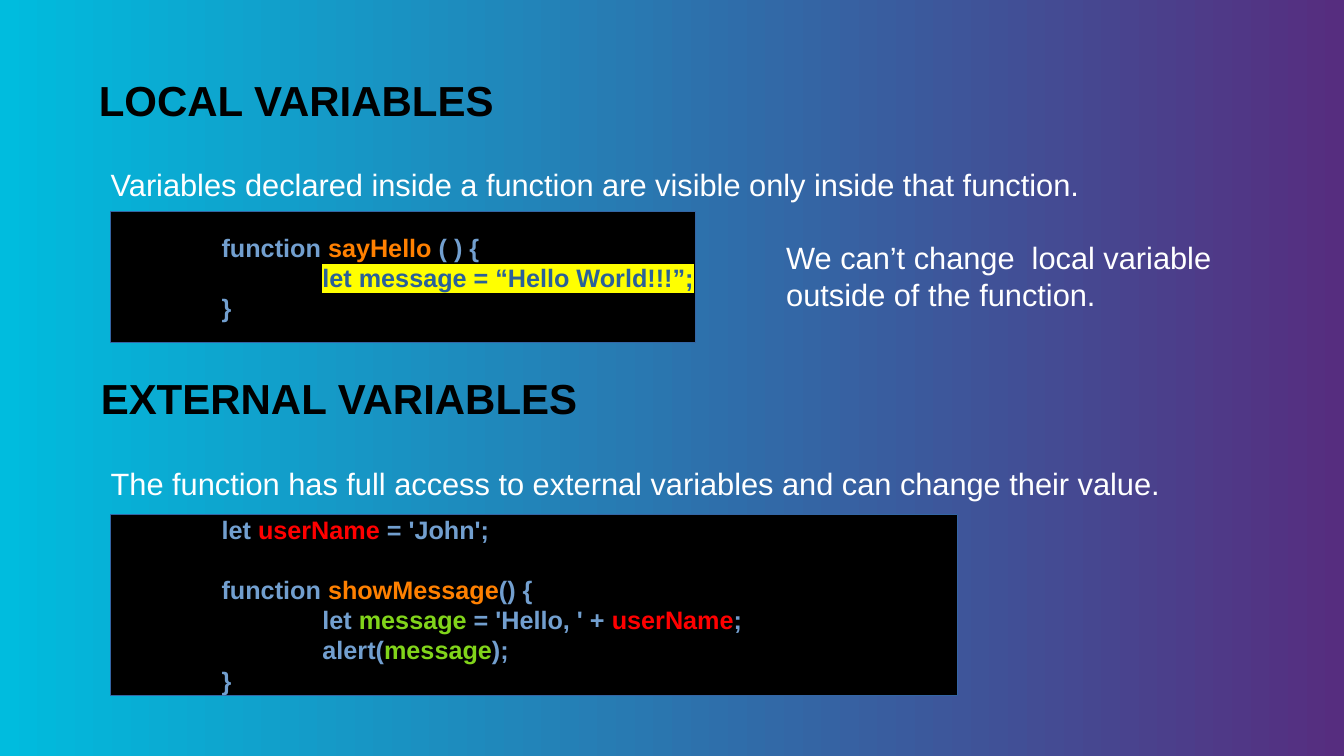
from lxml.etree import SubElement
from pptx import Presentation
from pptx.dml.color import RGBColor
from pptx.enum.shapes import MSO_SHAPE
from pptx.enum.text import MSO_ANCHOR, PP_ALIGN
from pptx.oxml.ns import qn
from pptx.util import Inches, Pt

BLACK = RGBColor(0x00, 0x00, 0x00)
WHITE = RGBColor(0xFF, 0xFF, 0xFF)
PURPLE = RGBColor(0x56, 0x2D, 0x7F)
CYAN = RGBColor(0x00, 0xBC, 0xDE)
BORDER = RGBColor(0x34, 0x65, 0xA4)
CODE = RGBColor(0x72, 0x9F, 0xCF)
DARK_CODE = RGBColor(0x2A, 0x60, 0x99)
FUNCTION = RGBColor(0xFF, 0x80, 0x00)
EXTERNAL = RGBColor(0xFF, 0x00, 0x00)
LOCAL = RGBColor(0x81, 0xD4, 0x1A)
YELLOW = RGBColor(0xFF, 0xFF, 0x00)

GRID = Inches(0.1)  # width of a column and height of a row
INDENT = Inches(1)
CODE_LINE = Pt(21)


class VariablesSlide:
    font = "Arial"

    def __init__(self, presentation):
        self.slide = presentation.slides.add_slide(presentation.slide_layouts[6])

    def background(self, left_color, right_color):
        fill = self.slide.background.fill
        fill.gradient()
        fill.gradient_angle = 180
        for stop, color in zip(fill.gradient_stops, (right_color, left_color)):
            stop.color.rgb = color

    def place(self, column, row, columns, rows):
        """Turn grid cells into left, top, width and height."""
        return [round(cells * GRID) for cells in (column, row, columns, rows)]

    def style(self, paragraph, size, color, bold=False):
        paragraph.alignment = PP_ALIGN.LEFT
        font = paragraph.font
        font.name, font.size, font.bold = self.font, Pt(size), bold
        font.color.rgb = color

    def text(self, words, cells, size=22, color=WHITE, bold=False, spacing=None):
        frame = self.slide.shapes.add_textbox(*self.place(*cells)).text_frame
        frame.word_wrap = True
        paragraph = frame.paragraphs[0]
        paragraph.text = words
        paragraph.line_spacing = spacing
        self.style(paragraph, size, color, bold)
        return frame

    def heading(self, words, cells):
        frame = self.text(words, cells, 30, BLACK, True, 0.9)
        frame.margin_left = 0

    def code(self, lines, cells):
        """Draw a code panel; each line is (indent, gap lines before, parts)."""
        panel = self.slide.shapes.add_shape(MSO_SHAPE.RECTANGLE, *self.place(*cells))
        panel.shadow.inherit = False
        panel.fill.solid()
        panel.fill.fore_color.rgb = BLACK
        panel.line.color.rgb = BORDER
        panel.line.width = Pt(0.75)
        frame = panel.text_frame
        frame.word_wrap = True
        frame.margin_right = 0
        frame.vertical_anchor = MSO_ANCHOR.MIDDLE
        for number, (indent, gap, parts) in enumerate(lines):
            paragraph = frame.add_paragraph() if number else frame.paragraphs[0]
            self.style(paragraph, 18, CODE, True)
            paragraph.space_before = gap * CODE_LINE
            properties = paragraph._p.get_or_add_pPr()
            properties.set("marL", str(indent * INDENT))
            properties.set("indent", "0")
            for words, color, *marker in parts:
                run = paragraph.add_run()
                run.text = words
                run.font.color.rgb = color
                if marker:
                    self.highlight(run, marker[0])

    def highlight(self, run, color):
        mark = SubElement(run.font._element, qn("a:highlight"))
        SubElement(mark, qn("a:srgbClr")).set("val", str(color))


LOCAL_CODE = [
    (1, 0, [("function ", CODE), ("sayHello ", FUNCTION), ("( ) {", CODE)]),
    (2, 0, [("let message = “Hello World!!!”;", DARK_CODE, YELLOW)]),
    (1, 0, [("}", CODE)]),
]
EXTERNAL_CODE = [
    (1, 0, [("let ", CODE), ("userName", EXTERNAL), (" = 'John';", CODE)]),
    (1, 1, [("function ", CODE), ("showMessage", FUNCTION), ("() {", CODE)]),
    (2, 0, [("let ", CODE), ("message", LOCAL), (" = 'Hello, ' + ", CODE),
            ("userName", EXTERNAL), (";", CODE)]),
    (2, 0, [("alert(", CODE), ("message", LOCAL), (");", CODE)]),
    (1, 0, [("}", CODE)]),
]


def main():
    presentation = Presentation()
    presentation.slide_width = Inches(13.33)
    presentation.slide_height = Inches(7.5)
    page = VariablesSlide(presentation)
    page.background(CYAN, PURPLE)

    page.heading("LOCAL VARIABLES", (9.8, 7.5, 116, 7.5))
    page.text("Variables declared inside a function are visible only inside that function.",
              (10, 16, 114, 4.4))
    page.code(LOCAL_CODE, (11, 21, 58, 13))
    page.text("We can’t change  local variable outside of the function.",
              (77, 23.2, 48, 7.8))

    page.heading("EXTERNAL VARIABLES", (10, 37, 116, 7.5))
    page.text("The function has full access to external variables and can change their value.",
              (10, 45.6, 114, 4.4))
    page.code(EXTERNAL_CODE, (11, 51, 84, 18))
    presentation.save("out.pptx")


if __name__ == "__main__":
    main()
